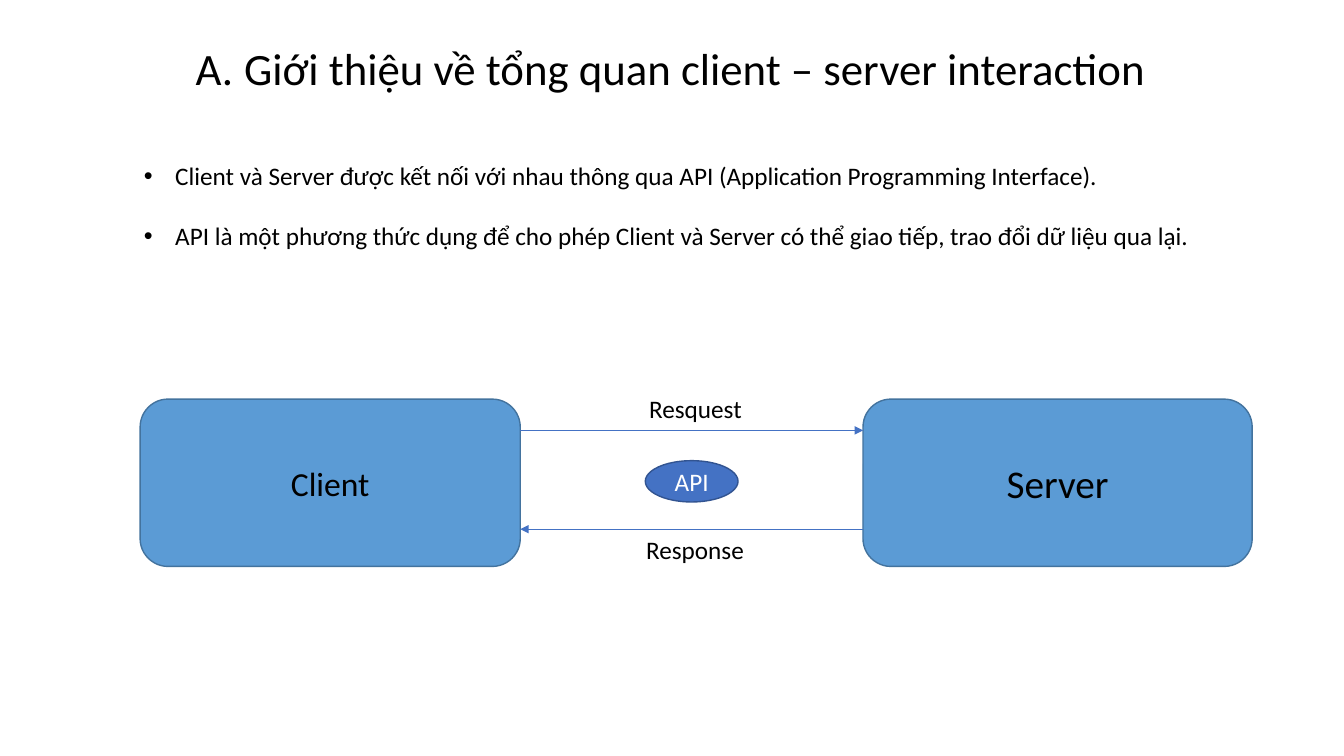
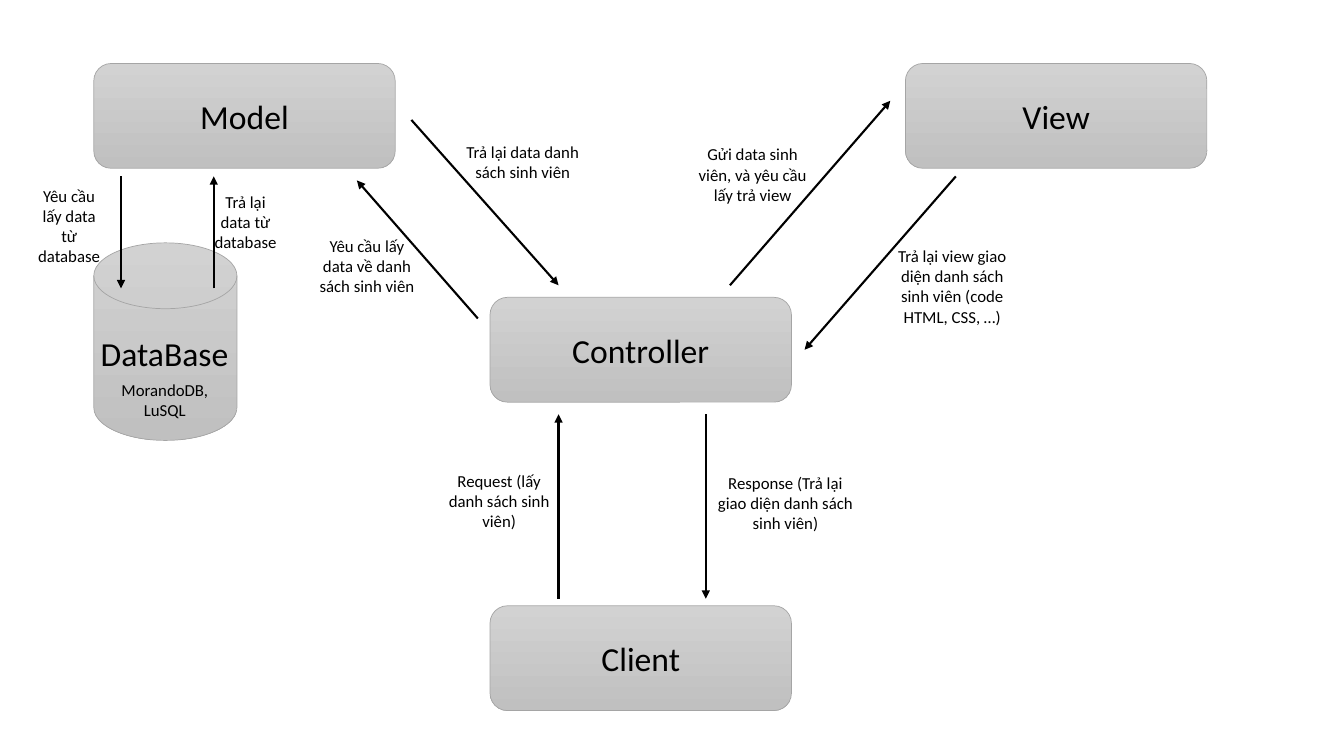
from dataclasses import dataclass

from pptx import Presentation
from pptx.dml.color import RGBColor
from pptx.enum.shapes import MSO_CONNECTOR, MSO_SHAPE
from pptx.enum.text import MSO_ANCHOR, MSO_AUTO_SIZE, PP_ALIGN
from pptx.oxml.ns import qn
from pptx.slide import Slide
from pptx.text.text import TextFrame
from pptx.util import Inches, Pt
from lxml.etree import SubElement

COLORS = {
    "text": "000000",
    "white": "FFFFFF",
    "box": "5B9BD5",
    "box_line": "43739E",
    "accent": "4472C4",
    "accent_line": "325491",
    "gray_top": "D2D2D2",
    "gray_bottom": "C0C0C0",
    "gray_line": "A5A5A5",
}
FONT = "Calibri"
TITLE_ONLY, BLANK = 5, 6
NODE_WIDTH, NODE_HEIGHT = 2.99, 1.04


@dataclass(frozen=True)
class Box:
    left: float
    top: float
    width: float
    height: float

    def lengths(self) -> tuple:
        return tuple(Inches(value) for value in (self.left, self.top, self.width, self.height))


@dataclass(frozen=True)
class Node:
    box: Box
    text: str = ""
    size: int = 24
    kind: MSO_SHAPE = MSO_SHAPE.ROUNDED_RECTANGLE
    fill: tuple[str, ...] = ("gray_top", "gray_bottom")
    line: str = "gray_line"
    line_width: float = 0.5
    color: str = "text"


@dataclass(frozen=True)
class Label:
    box: Box
    text: str
    size: int = 12
    align: PP_ALIGN = PP_ALIGN.CENTER


@dataclass(frozen=True)
class Arrow:
    start: tuple[float, float]
    end: tuple[float, float]
    color: str = "text"
    width: float = 1.5


def rgb(name: str) -> RGBColor:
    return RGBColor.from_string(COLORS[name])


def write_text(frame: TextFrame, text: str, *, size: int, color: str = "text",
               align: PP_ALIGN = PP_ALIGN.LEFT, anchor: MSO_ANCHOR = MSO_ANCHOR.TOP,
               line_spacing: float = 1.0, indent: float = 0, bullet: dict | None = None) -> None:
    frame.word_wrap = True
    frame.auto_size = MSO_AUTO_SIZE.NONE
    frame.vertical_anchor = anchor
    frame.text = text
    for paragraph in frame.paragraphs:
        paragraph.alignment = align
        paragraph.line_spacing = line_spacing
        font = paragraph.font
        for run in paragraph.runs:
            font = run.font
            font.name = FONT
            font.size = Pt(size)
            font.color.rgb = rgb(color)
        if bullet:
            properties = paragraph._p.get_or_add_pPr()
            properties.set("marL", str(Inches(indent)))
            properties.set("indent", str(-Inches(indent)))
            for tag, attributes in bullet.items():
                SubElement(properties, qn(tag), attributes)


def add_title(slide: Slide, text: str, box: Box) -> None:
    title = slide.shapes.title
    title.left, title.top, title.width, title.height = box.lengths()
    write_text(title.text_frame, text, size=32, indent=0.48,
               bullet={"a:buAutoNum": {"type": "alphaUcPeriod"}})


def add_bullets(slide: Slide, lines: list[str], box: Box) -> None:
    shape = slide.shapes.add_textbox(*box.lengths())
    write_text(shape.text_frame, "\n".join(lines), size=18, line_spacing=2.0, indent=0.31,
               bullet={"a:buFont": {"typeface": "Arial"}, "a:buChar": {"char": "•"}})


def add_node(slide: Slide, node: Node) -> None:
    shape = slide.shapes.add_shape(node.kind, *node.box.lengths())
    shape.shadow.inherit = False
    if len(node.fill) == 1:
        shape.fill.solid()
        shape.fill.fore_color.rgb = rgb(node.fill[0])
    else:
        shape.fill.gradient()
        shape.fill.gradient_angle = 270
        for stop, name in zip(shape.fill.gradient_stops, node.fill):
            stop.color.rgb = rgb(name)
    shape.line.color.rgb = rgb(node.line)
    shape.line.width = Pt(node.line_width)
    if node.text:
        write_text(shape.text_frame, node.text, size=node.size, color=node.color,
                   align=PP_ALIGN.CENTER, anchor=MSO_ANCHOR.MIDDLE)


def add_label(slide: Slide, label: Label) -> None:
    shape = slide.shapes.add_textbox(*label.box.lengths())
    write_text(shape.text_frame, label.text, size=label.size, align=label.align)


def add_arrow(slide: Slide, arrow: Arrow) -> None:
    points = [Inches(value) for value in (*arrow.start, *arrow.end)]
    connector = slide.shapes.add_connector(MSO_CONNECTOR.STRAIGHT, *points)
    connector.line.color.rgb = rgb(arrow.color)
    connector.line.width = Pt(arrow.width)
    SubElement(connector.line._get_or_add_ln(), qn("a:tailEnd"), {"type": "triangle"})
    SubElement(connector._element.spPr, qn("a:effectLst"))


def add_diagram(slide: Slide, nodes: list[Node], arrows: list[Arrow], labels: list[Label]) -> None:
    for node in nodes:
        add_node(slide, node)
    for arrow in arrows:
        add_arrow(slide, arrow)
    for label in labels:
        add_label(slide, label)


def mvc_node(left: float, top: float, text: str) -> Node:
    return Node(Box(left, top, NODE_WIDTH, NODE_HEIGHT), text)


def build_interaction_slide(presentation: Presentation) -> None:
    slide = presentation.slides.add_slide(presentation.slide_layouts[TITLE_ONLY])
    add_title(slide, "Giới thiệu về tổng quan client – server interaction",
              Box(1.84, 0.35, 10.92, 0.64))
    add_bullets(slide, [
        "Client và Server được kết nối với nhau thông qua API (Application Programming Interface).",
        "API là một phương thức dụng để cho phép Client và Server có thể giao tiếp, "
        "trao đổi dữ liệu qua lại.",
    ], Box(1.33, 1.24, 10.87, 1.23))
    blue = {"fill": ("box",), "line": "box_line", "line_width": 1}
    thin = {"color": "accent", "width": 0.5}
    client_edge, server_edge = 5.16, 8.56
    nodes = [
        Node(Box(1.39, 3.96, 3.77, 1.66), "Client", **blue),
        Node(Box(server_edge, 3.96, 3.86, 1.66), "Server", size=28, **blue),
        Node(Box(6.4, 4.57, 0.92, 0.41), "API", size=18, kind=MSO_SHAPE.OVAL,
             fill=("accent",), line="accent_line", line_width=1, color="white"),
    ]
    arrows = [
        Arrow((client_edge, 4.27), (server_edge, 4.27), **thin),
        Arrow((server_edge, 5.25), (client_edge, 5.25), **thin),
    ]
    labels = [
        Label(Box(6.34, 3.85, 1.83, 0.42), "Resquest", 18, PP_ALIGN.LEFT),
        Label(Box(6.31, 5.25, 1.53, 0.4), "Response", 18, PP_ALIGN.LEFT),
    ]
    add_diagram(slide, nodes, arrows, labels)


def build_mvc_slide(presentation: Presentation) -> None:
    slide = presentation.slides.add_slide(presentation.slide_layouts[BLANK])
    nodes = [
        mvc_node(0.93, 0.63, "Model"),
        mvc_node(8.98, 0.63, "View"),
        mvc_node(4.86, 2.95, "Controller"),
        mvc_node(4.86, 6.01, "Client"),
        Node(Box(0.93, 2.41, 1.42, 1.96), kind=MSO_SHAPE.FLOWCHART_MAGNETIC_DISK),
    ]
    arrows = [
        Arrow((4.08, 1.19), (5.54, 2.83)),
        Arrow((4.74, 3.16), (3.54, 1.79)),
        Arrow((7.24, 2.83), (8.83, 1)),
        Arrow((9.48, 1.75), (7.98, 3.47)),
        Arrow((5.54, 5.94), (5.54, 4.11)),
        Arrow((7, 4.11), (7, 5.94)),
        Arrow((1.2, 1.75), (1.2, 2.86)),
        Arrow((2.12, 2.86), (2.12, 1.75)),
    ]
    labels = [
        Label(Box(0.9, 3.25, 1.63, 0.5), "DataBase", 24, PP_ALIGN.LEFT),
        Label(Box(0.96, 3.72, 1.35, 0.5), "MorandoDB, LuSQL"),
        Label(Box(4.29, 4.62, 1.32, 0.71), "Request (lấy danh sách sinh viên)"),
        Label(Box(6.99, 4.64, 1.6, 0.71), "Response (Trả lại giao diện danh sách sinh viên)"),
        Label(Box(3.04, 2.29, 1.2, 0.71), "Yêu cầu lấy data về danh sách sinh viên"),
        Label(Box(4.47, 1.36, 1.43, 0.5), "Trả lại data danh sách sinh viên"),
        Label(Box(0.24, 1.79, 0.89, 0.91), "Yêu cầu lấy data từ database"),
        Label(Box(1.99, 1.85, 0.89, 0.71), "Trả lại data từ database"),
        Label(Box(6.75, 1.38, 1.43, 0.71), "Gửi data sinh viên, và yêu cầu lấy trả view"),
        Label(Box(8.73, 2.39, 1.43, 0.91),
              "Trả lại view giao diện danh sách sinh viên (code HTML, CSS, …)"),
    ]
    add_diagram(slide, nodes, arrows, labels)


def main() -> None:
    presentation = Presentation()
    presentation.slide_width = Inches(13.33)
    presentation.slide_height = Inches(7.5)
    build_interaction_slide(presentation)
    build_mvc_slide(presentation)
    presentation.save("out.pptx")


if __name__ == "__main__":
    main()
